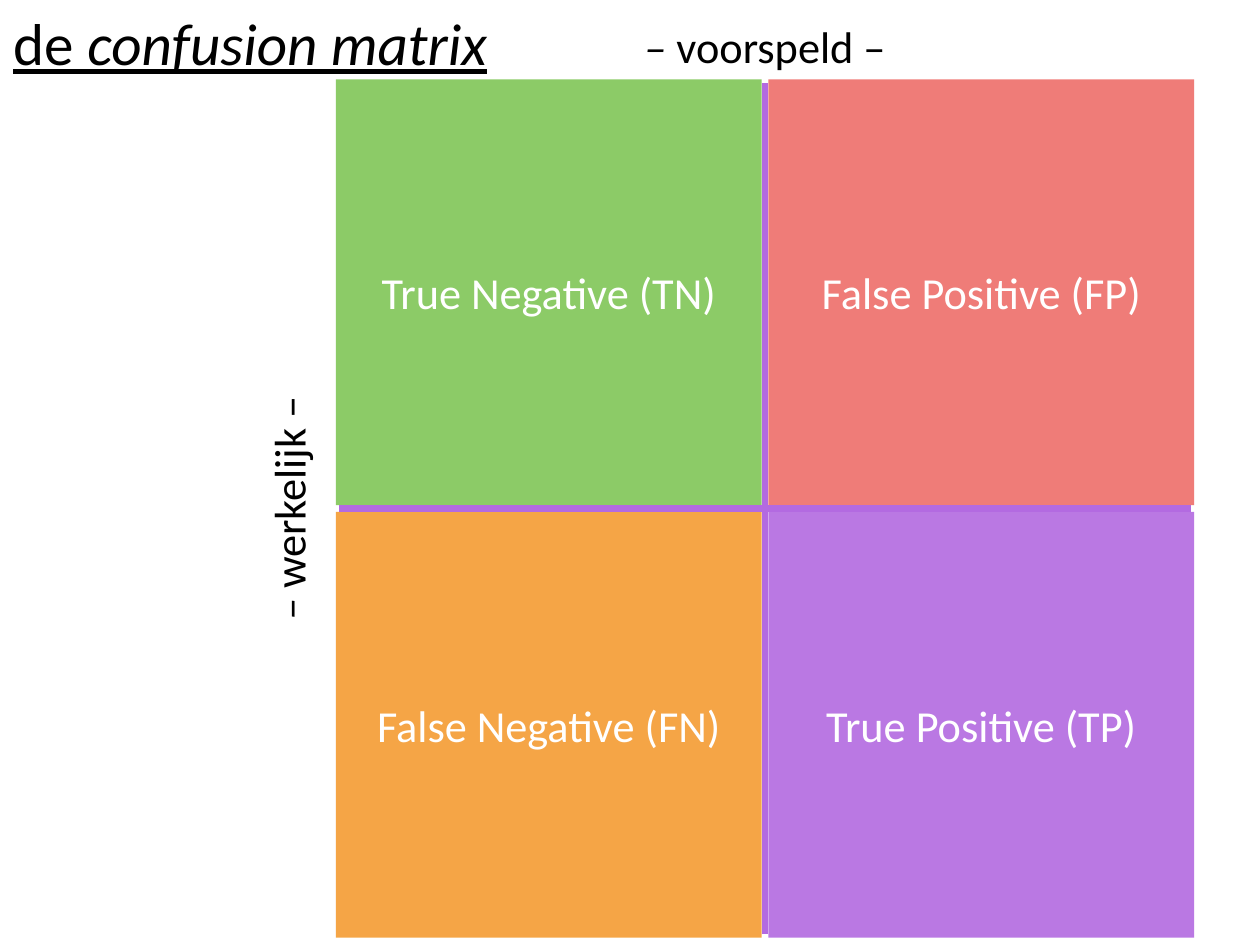
from lxml import etree
from pptx import Presentation
from pptx.dml.color import RGBColor
from pptx.enum import shapes, text
from pptx.oxml import ns
from pptx.util import Pt

BLACK = RGBColor(0x00, 0x00, 0x00)
WHITE = RGBColor(0xFF, 0xFF, 0xFF)
GREEN = RGBColor(0x70, 0xBF, 0x41)
RED = RGBColor(0xEC, 0x5C, 0x57)
ORANGE = RGBColor(0xF3, 0x8F, 0x18)
PURPLE = RGBColor(0xB3, 0x6A, 0xE1)

LEFT, TOP = 273, 64.5
CELL, GAP = 346, 5.5
SPAN = 2 * CELL + GAP
CENTER_X = LEFT + SPAN / 2
CENTER_Y = TOP + SPAN / 2

# row, column, outcome, colour, opacity in percent
OUTCOMES = [
    (0, 0, "True Negative (TN)", GREEN, 80),
    (0, 1, "False Positive (FP)", RED, 80),
    (1, 0, "False Negative (FN)", ORANGE, 80),
    (1, 1, "True Positive (TP)", PURPLE, 90),
]


def write(shape, *parts, size=36, color=BLACK, underline=None):
    """Fill a shape with one centred line of (wording, italic) parts."""
    frame = shape.text_frame
    frame.word_wrap = False
    frame.auto_size = text.MSO_AUTO_SIZE.NONE
    frame.vertical_anchor = text.MSO_ANCHOR.MIDDLE
    frame.margin_left = frame.margin_right = Pt(4)
    frame.margin_top = frame.margin_bottom = Pt(4)
    line = frame.paragraphs[0]
    line.alignment = text.PP_ALIGN.CENTER
    line.line_spacing = 1.0
    line.space_before = Pt(0)
    for wording, italic in parts:
        run = line.add_run()
        run.text = wording
        run.font.name = "Calibri"
        run.font.size = Pt(size)
        run.font.color.rgb = color
        run.font.italic = italic
        run.font.underline = underline


def add_outcome(slide, row, column, outcome, color, opacity):
    pitch = CELL + GAP
    cell = slide.shapes.add_shape(
        shapes.MSO_SHAPE.RECTANGLE, Pt(LEFT + column * pitch),
        Pt(TOP + row * pitch), Pt(CELL), Pt(CELL))
    cell.shadow.inherit = False
    cell.line.fill.background()
    cell.fill.solid()
    cell.fill.fore_color.rgb = color
    tint = cell.fill._xPr.find(ns.qn("a:solidFill"))[0]
    etree.SubElement(tint, ns.qn("a:alpha"), val=str(opacity * 1000))
    write(cell, (outcome, False), color=WHITE)


def add_divider(slide, x1, y1, x2, y2):
    divider = slide.shapes.add_connector(
        shapes.MSO_CONNECTOR.STRAIGHT, Pt(x1), Pt(y1), Pt(x2), Pt(y2))
    divider.line.color.rgb = PURPLE
    divider.line.width = Pt(5)
    etree.SubElement(divider._element.spPr, ns.qn("a:effectLst"))


def add_axis_label(slide, wording, center_x, center_y, rotation=0):
    width, height = 205, 44
    label = slide.shapes.add_textbox(
        Pt(center_x - width / 2), Pt(center_y - height / 2),
        Pt(width), Pt(height))
    label.rotation = rotation
    write(label, ("– ", True), (f"{wording} –", False))


def set_title(slide):
    title = slide.shapes.title
    title.left, title.top = Pt(6.5), Pt(6)
    title.width, title.height = Pt(394), Pt(56)
    write(title, ("de", False), (" confusion matrix", True),
          size=48, underline=True)


def main():
    prs = Presentation()
    prs.slide_width, prs.slide_height = Pt(1024), Pt(768)
    slide = prs.slides.add_slide(prs.slide_layouts[5])

    set_title(slide)
    for outcome in OUTCOMES:
        add_outcome(slide, *outcome)

    inset = GAP / 2
    add_divider(slide, CENTER_X, TOP + SPAN - inset, CENTER_X, TOP + inset)
    add_divider(slide, LEFT + inset, CENTER_Y, LEFT + SPAN - inset, CENTER_Y)

    add_axis_label(slide, "voorspeld", CENTER_X, 37)
    add_axis_label(slide, "werkelijk", 234, CENTER_Y, rotation=270)

    prs.save("out.pptx")


if __name__ == "__main__":
    main()
